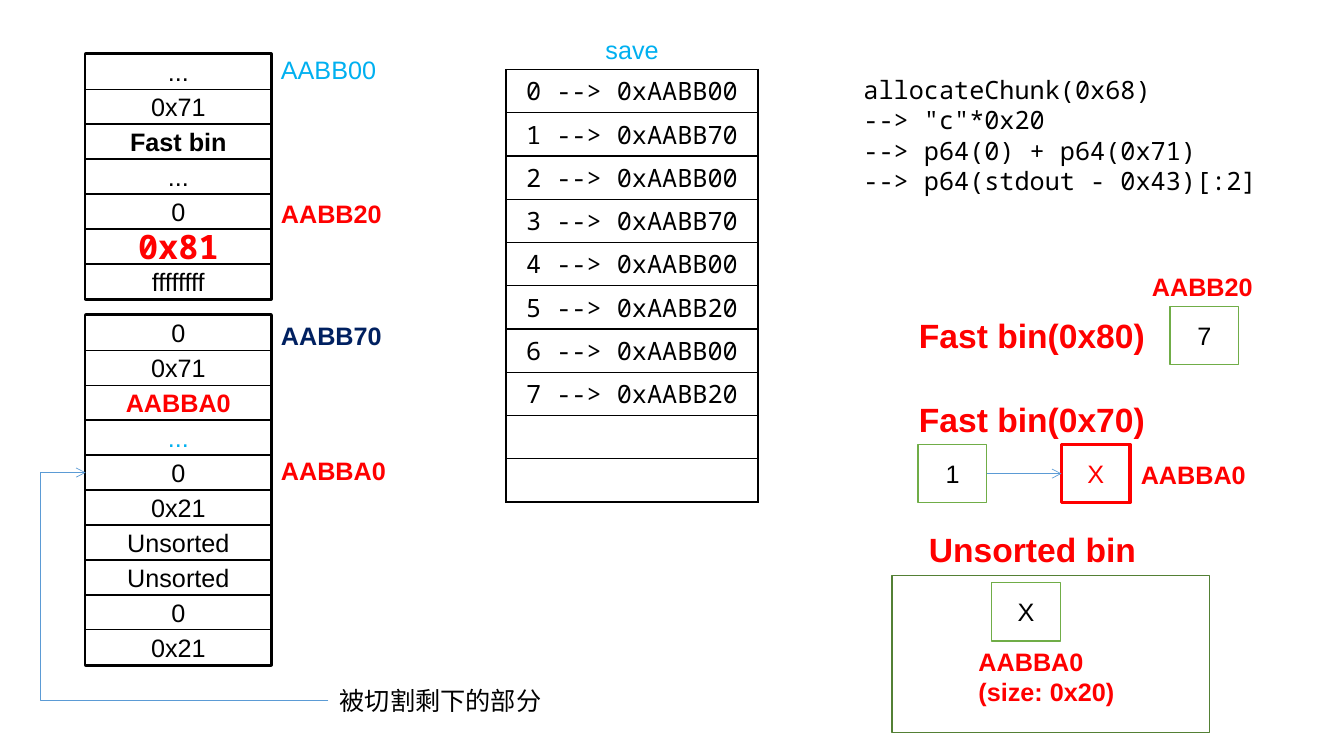
from dataclasses import dataclass

from lxml import etree
from pptx import Presentation
from pptx.dml.color import RGBColor
from pptx.enum import shapes, text
from pptx.oxml import ns
from pptx.util import Cm, Pt

SANS, MONO = "Arial", "Noto Sans Mono"
BLACK, WHITE, RED = "000000", "FFFFFF", "FF0000"
CYAN, NAVY, BLUE = "00B0F0", "002060", "5B9BD5"
GREEN, DARK_GREEN = "70AD47", "538035"

CHUNK_LEFT, CHUNK_WIDTH, FIELD_HEIGHT = 2.16, 4.67, 0.88
NODE_WIDTH, NODE_HEIGHT = 1.73, 1.47
SAVE_WIDTH, SAVE_ROW = 6.35, 1.09


@dataclass(frozen=True)
class Style:
    size: float = 18
    color: str = BLACK
    bold: bool = False
    font: str = SANS


PLAIN, CODE = Style(), Style(font=MONO)
STRONG, ALERT = Style(bold=True), Style(color=RED, bold=True)
HEADING = Style(24, RED, True)


@dataclass(frozen=True)
class Label:
    left: float
    top: float
    width: float
    lines: tuple[str, ...]
    style: Style = ALERT


@dataclass(frozen=True)
class Chunk:
    top: float
    fields: tuple[tuple[str, Style], ...]


@dataclass(frozen=True)
class Node:
    left: float
    top: float
    name: str
    color: str = GREEN
    weight: float = 1
    style: Style = PLAIN


CHUNKS = (
    Chunk(1.37, (("...", PLAIN), ("0x71", PLAIN), ("Fast bin", STRONG),
                 ("...", PLAIN), ("0", PLAIN),
                 ("0x81", Style(24, RED, True, MONO)), ("ffffffff", PLAIN))),
    Chunk(7.95, (("0", PLAIN), ("0x71", PLAIN), ("AABBA0", ALERT),
                 ("...", Style(color=CYAN)), ("0", PLAIN), ("0x21", PLAIN),
                 ("Unsorted", PLAIN), ("Unsorted", PLAIN), ("0", PLAIN),
                 ("0x21", PLAIN))),
)
SAVED = ("AABB00", "AABB70", "AABB00", "AABB70",
         "AABB00", "AABB20", "AABB00", "AABB20", None, None)
NODES = (
    Node(29.49, 7.72, "7"),
    Node(23.14, 11.2, "1"),
    Node(26.75, 11.2, "X", RED, 2.25, Style(color=RED)),
    Node(24.99, 14.68, "X"),
)
LABELS = (
    Label(6.83, 1.24, 7.54, ("AABB00",), Style(color=CYAN)),
    Label(6.83, 4.88, 3.33, ("AABB20",)),
    Label(6.83, 7.95, 7.54, ("AABB70",), Style(color=NAVY, bold=True)),
    Label(6.83, 11.36, 3.2, ("AABBA0",)),
    Label(15.01, 0.74, 2.3, ("save",), Style(color=CYAN)),
    Label(8.31, 17.15, 6.1, ("被切割剩下的部分",), PLAIN),
    Label(21.51, 1.75, 12.24, ("allocateChunk(0x68)", '--> "c"*0x20',
                               "--> p64(0) + p64(0x71)",
                               "--> p64(stdout - 0x43)[:2]"), CODE),
    Label(28.78, 6.71, 3.2, ("AABB20",)),
    Label(22.91, 7.82, 6.58, ("Fast bin(0x80)",), HEADING),
    Label(22.91, 9.93, 6.58, ("Fast bin(0x70)",), HEADING),
    Label(28.5, 11.46, 3.2, ("AABBA0",)),
    Label(23.16, 13.21, 6.2, ("Unsorted bin",), HEADING),
    Label(24.41, 16.15, 4.09, ("AABBA0", "(size: 0x20)")),
)


def rgb(value: str) -> RGBColor:
    return RGBColor.from_string(value)


def write(frame, lines: tuple[str, ...], style: Style, centred: bool = False) -> None:
    for index, line in enumerate(lines):
        para = frame.add_paragraph() if index else frame.paragraphs[0]
        para.alignment = text.PP_ALIGN.CENTER if centred else text.PP_ALIGN.LEFT
        span = para.add_run()
        span.text = line
        span.font.name = style.font
        span.font.size = Pt(style.size)
        span.font.bold = style.bold
        span.font.color.rgb = rgb(style.color)


def add_box(page, left: float, top: float, width: float, height: float,
            line: str = BLACK, weight: float = 1, fill: str | None = WHITE):
    box = page.shapes.add_shape(shapes.MSO_SHAPE.RECTANGLE,
                                Cm(left), Cm(top), Cm(width), Cm(height))
    box.shadow.inherit = False
    if fill:
        box.fill.solid()
        box.fill.fore_color.rgb = rgb(fill)
    else:
        box.fill.background()
    box.line.color.rgb = rgb(line)
    box.line.width = Pt(weight)
    box.text_frame.vertical_anchor = text.MSO_ANCHOR.MIDDLE
    return box


def add_label(page, label: Label) -> None:
    height = 0.25 + len(label.lines) * label.style.size * 0.0423
    box = page.shapes.add_textbox(Cm(label.left), Cm(label.top),
                                  Cm(label.width), Cm(height))
    box.text_frame.word_wrap = True
    write(box.text_frame, label.lines, label.style)


def add_chunk(page, chunk: Chunk) -> None:
    add_box(page, CHUNK_LEFT, chunk.top, CHUNK_WIDTH,
            FIELD_HEIGHT * len(chunk.fields), weight=3)
    for index, (value, style) in enumerate(chunk.fields):
        field = add_box(page, CHUNK_LEFT, chunk.top + index * FIELD_HEIGHT,
                        CHUNK_WIDTH, FIELD_HEIGHT)
        write(field.text_frame, (value,), style, centred=True)


def add_node(page, node: Node):
    box = add_box(page, node.left, node.top, NODE_WIDTH, NODE_HEIGHT,
                  node.color, node.weight)
    write(box.text_frame, (node.name,), node.style, centred=True)
    return box


def add_border(cell) -> None:
    properties = cell._tc.get_or_add_tcPr()
    for index, side in enumerate(("lnL", "lnR", "lnT", "lnB")):
        edge = etree.Element(ns.qn(f"a:{side}"), w=str(Pt(1)))
        fill = etree.SubElement(edge, ns.qn("a:solidFill"))
        etree.SubElement(fill, ns.qn("a:srgbClr"), val=BLACK)
        properties.insert(index, edge)


def add_save_table(page) -> None:
    count = len(SAVED)
    table = page.shapes.add_table(count, 1, Cm(12.75), Cm(1.75),
                                  Cm(SAVE_WIDTH), Cm(SAVE_ROW * count)).table
    table.first_row = table.horz_banding = False
    for index, address in enumerate(SAVED):
        table.rows[index].height = Cm(SAVE_ROW)
        cell = table.cell(index, 0)
        cell.fill.background()
        cell.vertical_anchor = text.MSO_ANCHOR.MIDDLE
        cell.margin_top = cell.margin_bottom = 0
        add_border(cell)
        if address:
            write(cell.text_frame, (f"{index} --> 0x{address}",), CODE, centred=True)


def add_arrow(page, kind, start: tuple[float, float], end: tuple[float, float]):
    arrow = page.shapes.add_connector(kind, *(Cm(value) for value in start + end))
    arrow.line.color.rgb = rgb(BLUE)
    arrow.line.width = Pt(0.5)
    etree.SubElement(arrow.line._get_or_add_ln(), ns.qn("a:tailEnd"), type="arrow")
    etree.SubElement(arrow._element.spPr, ns.qn("a:effectLst"))
    return arrow


def main() -> None:
    deck = Presentation()
    deck.slide_width, deck.slide_height = Cm(33.87), Cm(19.05)
    page = deck.slides.add_slide(deck.slide_layouts[6])

    for chunk in CHUNKS:
        add_chunk(page, chunk)
    add_save_table(page)
    add_box(page, 22.48, 14.5, 8, 3.96, DARK_GREEN, fill=None)
    _, first, last, _ = [add_node(page, node) for node in NODES]
    for label in LABELS:
        add_label(page, label)

    link = add_arrow(page, shapes.MSO_CONNECTOR.STRAIGHT, (24.87, 11.94), (26.75, 11.94))
    link.begin_connect(first, 3)
    link.end_connect(last, 1)

    split = add_arrow(page, shapes.MSO_CONNECTOR.ELBOW, (8.28, 17.66), (2.16, 11.91))
    geometry = split._element.spPr.find(ns.qn("a:prstGeom"))
    bends = geometry.find(ns.qn("a:avLst"))
    etree.SubElement(bends, ns.qn("a:gd"), name="adj1", fmla="val 118600")

    deck.save("out.pptx")


if __name__ == "__main__":
    main()
